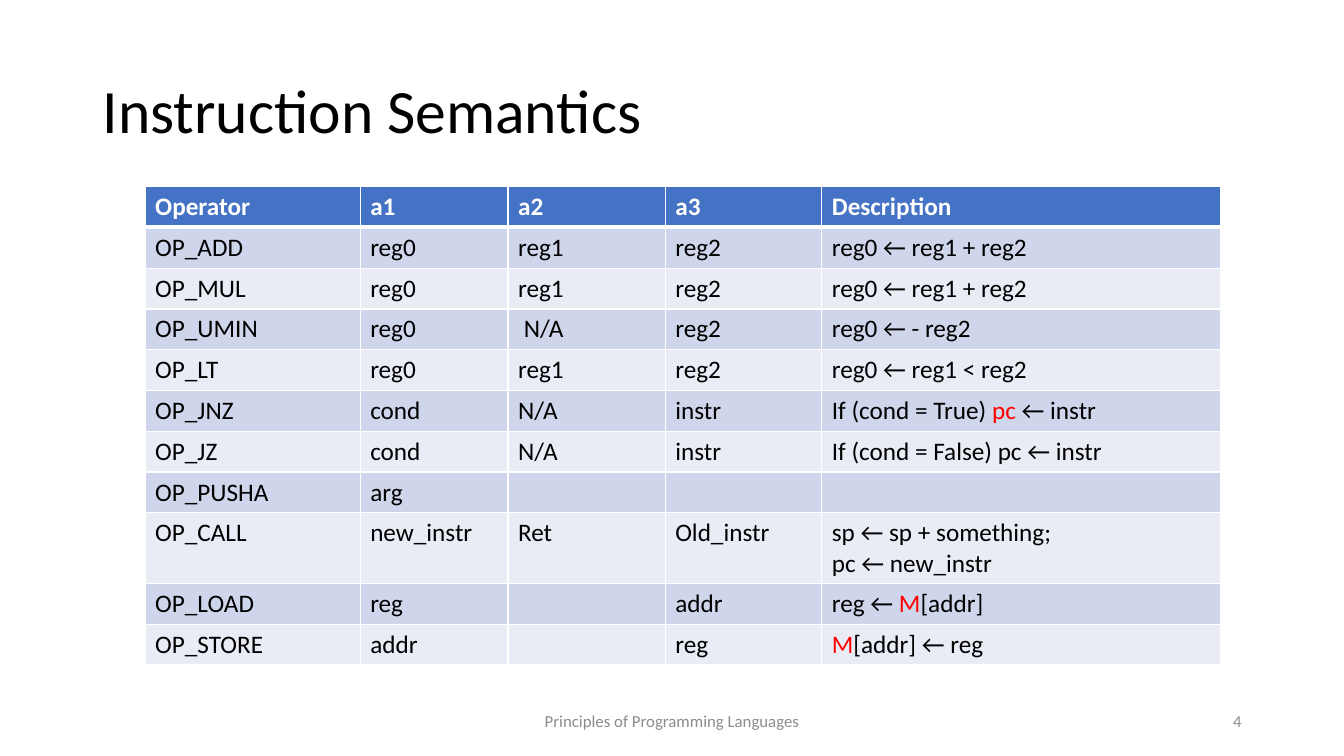
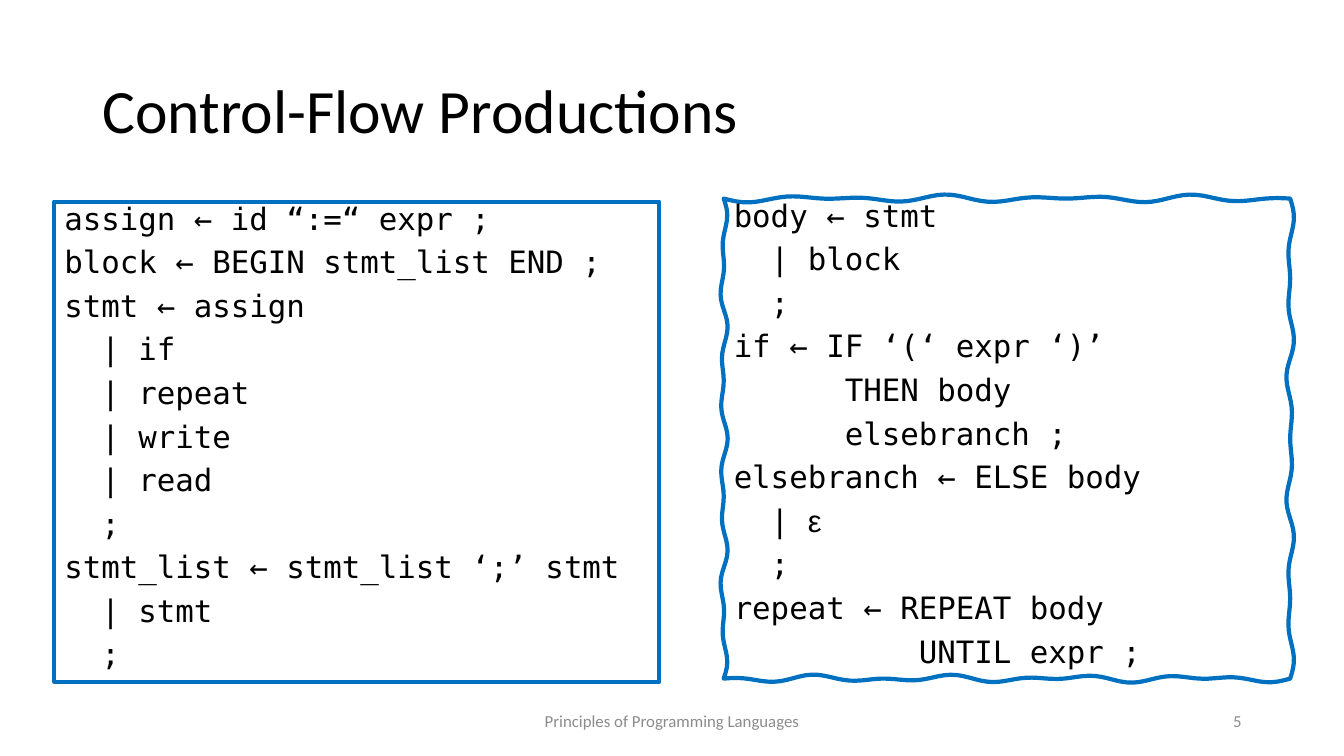
from dataclasses import dataclass
from math import pi, sin
from typing import NamedTuple, Optional, Sequence, Union

from lxml import etree
from pptx import Presentation
from pptx.dml.color import RGBColor
from pptx.enum.shapes import MSO_SHAPE
from pptx.enum.text import MSO_ANCHOR, PP_ALIGN
from pptx.oxml.ns import qn
from pptx.shapes.autoshape import Shape
from pptx.slide import Slide
from pptx.table import _Cell
from pptx.text.text import TextFrame
from pptx.util import Emu, Inches, Pt

RECTANGLE = MSO_SHAPE.RECTANGLE
LEFT, CENTER, RIGHT = PP_ALIGN.LEFT, PP_ALIGN.CENTER, PP_ALIGN.RIGHT
TOP, MIDDLE = MSO_ANCHOR.TOP, MSO_ANCHOR.MIDDLE

SLIDE_WIDTH, SLIDE_HEIGHT = Inches(13.33), Inches(7.5)
COLORS = {
    "text": "000000",
    "white": "FFFFFF",
    "footer": "8C8C8C",
    "accent": "FF0000",
    "header": "4472C4",
    "band_dark": "CFD5EA",
    "band_light": "E9EBF5",
    "frame": "0070C0",
}
BODY_FONT, CODE_FONT, GREEK_FONT = "Calibri", "DejaVu Sans Mono", "Arial"
INSET_X, INSET_Y = Inches(0.1), Inches(0.05)
FOOTER = "Principles of Programming Languages"


def across(percent: float) -> Emu:
    return Emu(round(SLIDE_WIDTH * percent / 100))


def down(percent: float) -> Emu:
    return Emu(round(SLIDE_HEIGHT * percent / 100))


@dataclass(frozen=True)
class Box:
    """A region given in percent of the slide's width and height."""

    left: float
    top: float
    width: float
    height: float

    def place(self) -> tuple[Emu, Emu, Emu, Emu]:
        return across(self.left), down(self.top), across(self.width), down(self.height)


class Span(NamedTuple):
    text: str
    color: Optional[str] = None
    font: Optional[str] = None


Line = Union[str, Sequence[Union[str, Span]]]


@dataclass(frozen=True)
class CodePanel:
    box: Box
    lines: Sequence[Line]
    wavy: bool = False


TITLE_BOX = Box(6.9, 5.33, 86.25, 19.33)
FOOTER_BOX = Box(33.13, 92.67, 33.75, 5.33)
NUMBER_BOX = Box(70.63, 92.67, 22.5, 5.33)
TABLE_BOX = Box(10.8, 24.67, 80.05, 63.5)
COLUMN_WIDTHS = (16, 11, 11.7, 11.65, 29.7)
ROW_HEIGHT = 5.4

INSTRUCTIONS: Sequence[Sequence[Union[str, Sequence[Line]]]] = (
    ("Operator", "a1", "a2", "a3", "Description"),
    ("OP_ADD", "reg0", "reg1", "reg2", "reg0 ← reg1 + reg2"),
    ("OP_MUL", "reg0", "reg1", "reg2", "reg0 ← reg1 + reg2"),
    ("OP_UMIN", "reg0", " N/A", "reg2", "reg0 ← - reg2"),
    ("OP_LT", "reg0", "reg1", "reg2", "reg0 ← reg1 < reg2"),
    ("OP_JNZ", "cond", "N/A", "instr",
     [["If (cond = True) ", Span("pc ", "accent"), "← instr"]]),
    ("OP_JZ", "cond", "N/A", "instr", "If (cond = False) pc ← instr"),
    ("OP_PUSHA", "arg", "", "", ""),
    ("OP_CALL", "new_instr", "Ret", "Old_instr",
     ["sp ← sp + something;", "pc ← new_instr"]),
    ("OP_LOAD", "reg", "", "addr", [["reg ← ", Span("M", "accent"), "[addr]"]]),
    ("OP_STORE", "addr", "", "reg", [[Span("M", "accent"), "[addr] ← reg"]]),
)

CODE_PANELS = (
    CodePanel(
        Box(4.05, 26.67, 45, 63.5),
        (
            "assign ← id “:=“ expr ;",
            "block ← BEGIN stmt_list END ;",
            "stmt ← assign",
            "  | if",
            "  | repeat",
            "  | write",
            "  | read",
            "  ;",
            "stmt_list ← stmt_list ‘;’ stmt",
            "  | stmt",
            "  ;",
        ),
    ),
    CodePanel(
        Box(53.85, 26.27, 42.15, 63.5),
        (
            "body ← stmt",
            "  | block",
            "  ;",
            "if ← IF ‘(‘ expr ‘)’",
            "      THEN body",
            "      elsebranch ;",
            "elsebranch ← ELSE body",
            ["  | ", Span("ε", font=GREEK_FONT)],
            "  ;",
            "repeat ← REPEAT body",
            "          UNTIL expr ;",
        ),
        wavy=True,
    ),
)


def rgb(name: str) -> RGBColor:
    return RGBColor.from_string(COLORS[name])


def write_text(
    frame: TextFrame,
    lines: Sequence[Line],
    *,
    size: float,
    font: str = BODY_FONT,
    color: str = "text",
    bold: bool = False,
    align: PP_ALIGN = LEFT,
    anchor: Optional[MSO_ANCHOR] = None,
    line_spacing: Optional[float] = None,
    space_before: float = 0,
) -> None:
    frame.word_wrap = True
    if anchor is not None:
        frame.vertical_anchor = anchor
    for index, line in enumerate(lines):
        paragraph = frame.add_paragraph() if index else frame.paragraphs[0]
        paragraph.alignment = align
        paragraph.space_before = Pt(space_before)
        paragraph.line_spacing = line_spacing
        paragraph.font.size = Pt(size)
        for part in [line] if isinstance(line, str) else line:
            span = Span(part) if isinstance(part, str) else part
            if not span.text:
                continue
            run = paragraph.add_run()
            run.text = span.text
            run.font.size = Pt(size)
            run.font.name = span.font or font
            run.font.bold = bold
            run.font.color.rgb = rgb(span.color or color)


def add_label(slide: Slide, box: Box, text: str, **text_format) -> None:
    shape = slide.shapes.add_textbox(*box.place())
    write_text(shape.text_frame, [text], anchor=MIDDLE, **text_format)


def add_base_slide(presentation: Presentation, title: str, number: int) -> Slide:
    slide = presentation.slides.add_slide(presentation.slide_layouts[6])
    add_label(slide, TITLE_BOX, title, size=44, line_spacing=0.9)
    add_label(slide, FOOTER_BOX, FOOTER, size=12, color="footer", align=CENTER)
    add_label(slide, NUMBER_BOX, str(number), size=12, color="footer", align=RIGHT)
    return slide


def set_borders(cell: _Cell, widths: dict[str, float]) -> None:
    properties = cell._tc.get_or_add_tcPr()
    for position, (side, width) in enumerate(widths.items()):
        border = etree.Element(qn(f"a:{side}"), w=str(Pt(width)))
        fill = etree.SubElement(border, qn("a:solidFill"))
        etree.SubElement(fill, qn("a:srgbClr"), val=COLORS["white"])
        properties.insert(position, border)


def add_instruction_table(slide: Slide) -> None:
    table = slide.shapes.add_table(
        len(INSTRUCTIONS), len(COLUMN_WIDTHS), *TABLE_BOX.place()
    ).table
    for column, width in zip(table.columns, COLUMN_WIDTHS):
        column.width = across(width)
    for row_index, values in enumerate(INSTRUCTIONS):
        is_header = row_index == 0
        band = "header" if is_header else "band_dark" if row_index % 2 else "band_light"
        table.rows[row_index].height = down(ROW_HEIGHT)
        for column_index, value in enumerate(values):
            cell = table.cell(row_index, column_index)
            cell.fill.solid()
            cell.fill.fore_color.rgb = rgb(band)
            set_borders(cell, {
                "lnL": 1,
                "lnR": 1,
                "lnT": 3 if row_index == 1 else 1,
                "lnB": 3 if is_header else 1,
            })
            write_text(
                cell.text_frame,
                [value] if isinstance(value, str) else value,
                size=18,
                color="white" if is_header else "text",
                bold=is_header,
            )


def add_wavy_frame(slide: Slide, box: Box) -> Shape:
    left, top, width, height = box.place()
    right, bottom = left + width, top + height
    corners = [(left, top), (right, top), (right, bottom), (left, bottom)]
    steps, amplitude = 90, Inches(0.02)
    points = []
    for side, (start_x, start_y) in enumerate(corners):
        end_x, end_y = corners[(side + 1) % 4]
        for step in range(steps):
            share = step / steps
            wave = amplitude * (sin(9 * pi * share) + sin((14 + side) * pi * share))
            is_horizontal = side % 2 == 0
            points.append((
                round(start_x + (end_x - start_x) * share + (0 if is_horizontal else wave)),
                round(start_y + (end_y - start_y) * share + (wave if is_horizontal else 0)),
            ))
    builder = slide.shapes.build_freeform(*points[0])
    builder.add_line_segments(points[1:], close=True)
    return builder.convert_to_shape()


def add_code_panel(slide: Slide, panel: CodePanel) -> None:
    left, top, width, height = panel.box.place()
    if panel.wavy:
        shape = add_wavy_frame(slide, panel.box)
    else:
        shape = slide.shapes.add_shape(RECTANGLE, left, top, width, height)
    shape.shadow.inherit = False
    shape.fill.background()
    shape.line.color.rgb = rgb("frame")
    shape.line.width = Pt(3)
    frame = shape.text_frame
    frame.margin_left = left + INSET_X - shape.left
    frame.margin_top = top + INSET_Y - shape.top
    frame.margin_right, frame.margin_bottom = INSET_X, INSET_Y
    write_text(
        frame,
        panel.lines,
        size=22,
        font=CODE_FONT,
        anchor=TOP,
        line_spacing=0.8,
        space_before=10,
    )


def main() -> None:
    presentation = Presentation()
    presentation.slide_width, presentation.slide_height = SLIDE_WIDTH, SLIDE_HEIGHT
    add_instruction_table(add_base_slide(presentation, "Instruction Semantics", 4))
    productions = add_base_slide(presentation, "Control-Flow Productions", 5)
    for panel in CODE_PANELS:
        add_code_panel(productions, panel)
    presentation.save("out.pptx")


if __name__ == "__main__":
    main()
